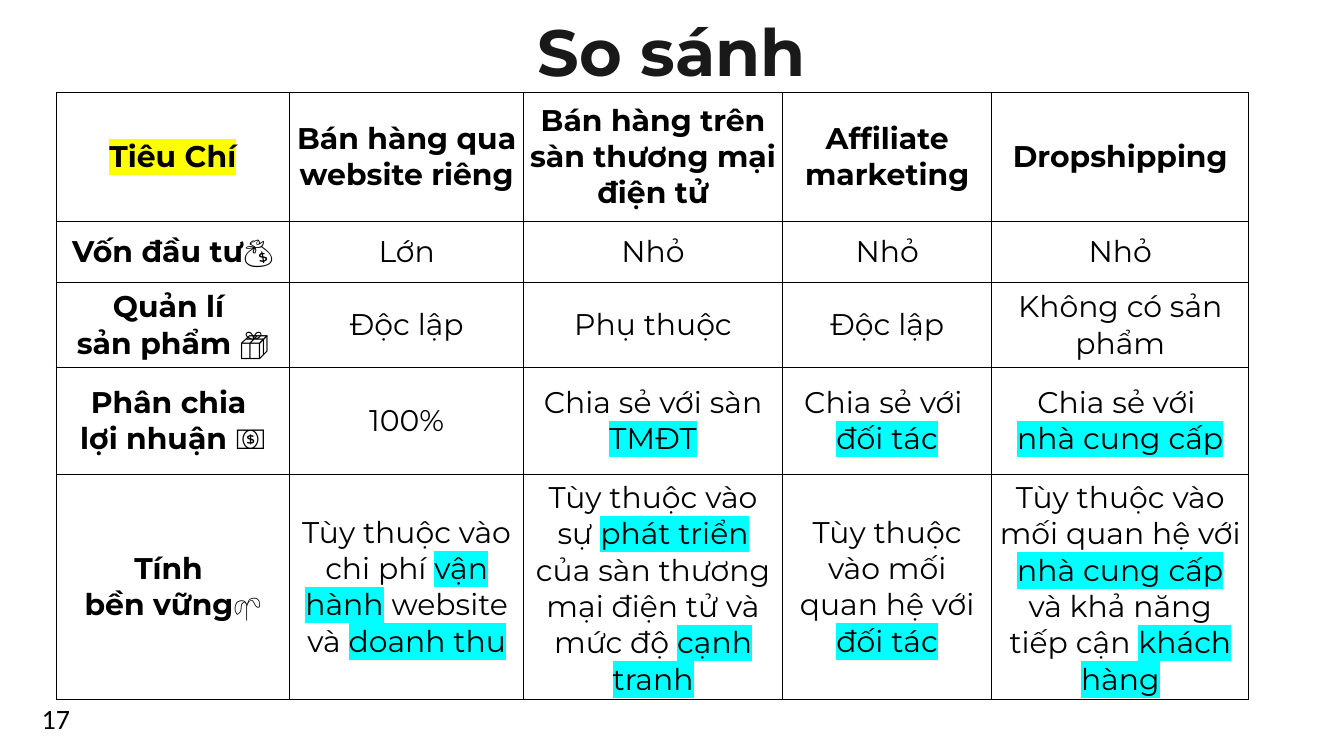
from dataclasses import dataclass

from lxml.etree import SubElement
from pptx import Presentation
from pptx.dml.color import RGBColor
from pptx.enum.text import MSO_ANCHOR, MSO_AUTO_SIZE, PP_ALIGN
from pptx.oxml.ns import qn
from pptx.util import Emu, Pt

EMU_PER_PX = 9525
PAGE_WIDTH, PAGE_HEIGHT = 1920, 1080
COLORS = {
    "title": "191919",
    "text": "000000",
    "border": "000000",
    "criteria": "FFFF00",
    "key": "00FFFF",
}
COLUMN_WIDTHS = (334, 334, 370, 299, 367)
CELL_MARGIN = 7


@dataclass(frozen=True)
class Row:
    """Cell texts: a line break starts a paragraph, each | switches the highlight."""
    height: int
    cells: tuple[str, ...]


ROWS = (
    Row(184, ("|Tiêu Chí", "Bán hàng qua website riêng",
              "Bán hàng trên sàn thương mại điện tử", "Affiliate marketing", "Dropshipping")),
    Row(88, ("Vốn đầu tư💰", "Lớn", "Nhỏ", "Nhỏ", "Nhỏ")),
    Row(121, ("Quản lí \nsản phẩm 📦", "Độc lập", "Phụ thuộc", "Độc lập",
              "Không có sản phẩm")),
    Row(153, ("Phân chia \nlợi nhuận 💵", "100%", "Chia sẻ với sàn |TMĐT",
              "Chia sẻ với \n|đối tác", "Chia sẻ với \n|nhà cung cấp")),
    Row(281, ("Tính \nbền vững🌱",
              "Tùy thuộc vào chi phí |vận hành| website và |doanh thu",
              "Tùy thuộc vào sự |phát triển |của sàn thương mại điện tử và mức độ |cạnh tranh",
              "Tùy thuộc vào mối quan hệ với |đối tác",
              "Tùy thuộc vào mối quan hệ với \n"
              "|nhà cung cấp |và khả năng tiếp cận |khách hàng")),
)


def px(length: int) -> Emu:
    return Emu(length * EMU_PER_PX)


def place(box, left: int, top: int, width: int, height: int) -> None:
    box.left, box.top, box.width, box.height = map(px, (left, top, width, height))


def add_span(para, text: str, *, size: int, font: str = "Montserrat", color: str = "text",
             bold: bool = False, highlight: str | None = None) -> None:
    span = para.add_run()
    span.text = text
    span.font.size = Pt(size)
    span.font.bold = bold
    span.font.name = font
    span.font.color.rgb = RGBColor.from_string(COLORS[color])
    if highlight:
        properties = span._r.get_or_add_rPr()
        mark = SubElement(properties, qn("a:highlight"))
        SubElement(mark, qn("a:srgbClr"), val=COLORS[highlight])
        properties.find(qn("a:solidFill")).addnext(mark)


def draw_borders(cell) -> None:
    properties = cell._tc.get_or_add_tcPr()
    for side in ("lnL", "lnR", "lnT", "lnB"):
        line = SubElement(properties, qn(f"a:{side}"), w=str(Pt(1)))
        fill = SubElement(line, qn("a:solidFill"))
        SubElement(fill, qn("a:srgbClr"), val=COLORS["border"])


def fill_cell(cell, text: str, *, bold: bool, highlight: str) -> None:
    draw_borders(cell)
    cell.fill.background()
    cell.vertical_anchor = MSO_ANCHOR.MIDDLE
    cell.margin_left = cell.margin_right = px(CELL_MARGIN)
    cell.margin_top = cell.margin_bottom = px(CELL_MARGIN)
    frame = cell.text_frame
    for index, line in enumerate(text.split("\n")):
        para = frame.add_paragraph() if index else frame.paragraphs[0]
        para.alignment = PP_ALIGN.CENTER
        for part, words in enumerate(line.split("|")):
            if words:
                add_span(para, words, size=32, bold=bold,
                         highlight=highlight if part % 2 else None)


def add_title(page, text: str) -> None:
    title = page.shapes.title
    place(title, 108, 16, 1704, 113)
    frame = title.text_frame
    frame.margin_left = frame.margin_right = frame.margin_top = frame.margin_bottom = 0
    frame.vertical_anchor = MSO_ANCHOR.TOP
    frame.auto_size = MSO_AUTO_SIZE.SHAPE_TO_FIT_TEXT
    para = frame.paragraphs[0]
    para.alignment = PP_ALIGN.CENTER
    para.line_spacing = Pt(84)
    add_span(para, text, size=70, color="title", bold=True)


def add_page_number(page, text: str) -> None:
    box = page.shapes.add_textbox(px(50), px(998), px(86), px(59))
    box.text_frame.word_wrap = True
    box.text_frame.auto_size = MSO_AUTO_SIZE.SHAPE_TO_FIT_TEXT
    add_span(box.text_frame.paragraphs[0], text, size=30, font="Calibri")


def add_comparison(page) -> None:
    table = page.shapes.add_table(
        len(ROWS), len(COLUMN_WIDTHS), px(80), px(132),
        px(sum(COLUMN_WIDTHS)), px(sum(row.height for row in ROWS))).table
    table.first_row = table.horz_banding = False
    for column, width in zip(table.columns, COLUMN_WIDTHS):
        column.width = px(width)
    for row_index, row in enumerate(ROWS):
        table.rows[row_index].height = px(row.height)
        for column_index, text in enumerate(row.cells):
            fill_cell(table.cell(row_index, column_index), text,
                      bold=row_index == 0 or column_index == 0,
                      highlight="key" if row_index else "criteria")


def main() -> None:
    deck = Presentation()
    deck.slide_width, deck.slide_height = px(PAGE_WIDTH), px(PAGE_HEIGHT)
    page = deck.slides.add_slide(deck.slide_layouts[5])
    add_title(page, "So sánh")
    add_page_number(page, "17")
    add_comparison(page)
    deck.save("out.pptx")


if __name__ == "__main__":
    main()
